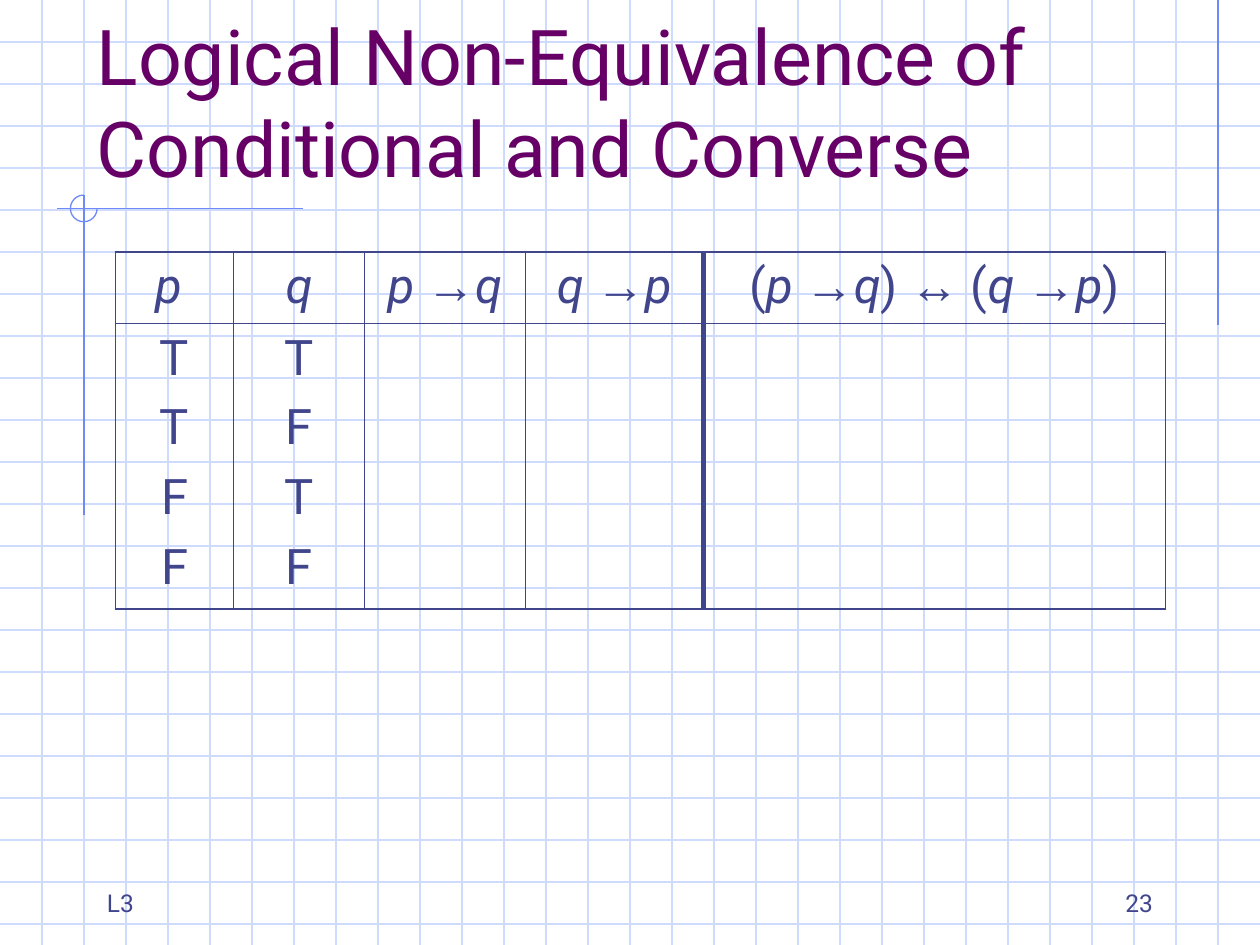
from itertools import groupby
from pptx import Presentation
from pptx.dml.color import RGBColor
from pptx.enum import shapes as kinds, text as txt
from pptx.oxml import parse_xml
from pptx.oxml.ns import nsdecls
from pptx.util import Pt

WIDE, HIGH, STEP = 720, 540, 24
INK, PLUM, GRID, BLUE = "40458C", "660066", "CFDBFD", "6F89F7"
FONT = "Roboto"
THIN, EDGE, BOLD = 0.45, 1.08, 3

TITLE = "Logical Non-Equivalence of Conditional and Converse"
HEAD = ["p ", "q", "p →q", "q →p", "(p →q) ↔ (q →p)"]
BODY = ["TTFF", "TFTF", "", "", ""]
COLS = [67.5, 75, 91.5, 102, 264]
ROWS = [41, 163]
RULES = [(696, 0, 696, 186), (173, 119.25, 32.5, 119.25), (48, 111.5, 48, 294.5)]
NOTES = [("23", 516, txt.PP_ALIGN.RIGHT), ("L3", 54, txt.PP_ALIGN.LEFT)]


def rgb(code):
    return RGBColor.from_string(code)


def style(font, size, code, name=FONT):
    font.size, font.name = Pt(size), name
    font.color.rgb = rgb(code)


def rule(x1, y1, x2, y2, code):
    line = slide.shapes.add_connector(
        kinds.MSO_CONNECTOR.STRAIGHT, Pt(x1), Pt(y1), Pt(x2), Pt(y2))
    line.line.color.rgb = rgb(code)
    line.line.width = Pt(0.75)
    line.element.spPr.append(parse_xml(f"<a:effectLst {nsdecls('a')}/>"))


def glyph(char):
    """Sort a character into variable, arrow or plain text."""
    return "var" if char in "pq" else "arrow" if char in "→↔" else "plain"


def write(para, words):
    para.alignment = txt.PP_ALIGN.CENTER
    for kind, chars in groupby(words, glyph):
        run = para.add_run()
        run.text = "".join(chars)
        style(run.font, 28, INK, "Arial" if kind == "arrow" else FONT)
        run.font.italic = kind == "var"


def border(cell, widths):
    cell.fill.background()
    props = cell._tc.get_or_add_tcPr()
    for spot, (side, width) in enumerate(zip("LRTB", widths)):
        props.insert(spot, parse_xml(
            f'<a:ln{side} {nsdecls("a")} w="{Pt(width)}"><a:solidFill>'
            f'<a:srgbClr val="{INK}"/></a:solidFill></a:ln{side}>'))


prs = Presentation()
prs.slide_width, prs.slide_height = Pt(WIDE), Pt(HIGH)
slide = prs.slides.add_slide(prs.slide_layouts[5])

# Squared paper and corner marks
for y in range(STEP, HIGH, STEP):
    rule(0, y, WIDE, y, GRID)
for x in range(STEP, WIDE, STEP):
    rule(x, 0, x, HIGH, GRID)
for ends in RULES:
    rule(*ends, BLUE)
ring = slide.shapes.add_shape(
    kinds.MSO_SHAPE.ARC, Pt(40.25), Pt(111.5), Pt(15.25), Pt(15.25))
ring.adjustments[0], ring.adjustments[1] = 0, 162
ring.shadow.inherit = False
ring.fill.background()
ring.line.color.rgb = rgb(BLUE)
ring.line.width = Pt(0.75)

# Title, in front of the grid
title = slide.shapes.title
slide.shapes.element.append(title.element)
title.left, title.top, title.width, title.height = Pt(48), Pt(24), Pt(612), Pt(90)
frame = title.text_frame
frame.text = TITLE
frame.auto_size = txt.MSO_AUTO_SIZE.NONE
frame.vertical_anchor = txt.MSO_ANCHOR.BOTTOM
frame.paragraphs[0].alignment = txt.PP_ALIGN.LEFT
style(frame.paragraphs[0].runs[0].font, 44, PLUM)

# Truth table
table = slide.shapes.add_table(
    2, len(COLS), Pt(66), Pt(144), Pt(sum(COLS)), Pt(sum(ROWS))).table
table.first_row = table.horz_banding = False
for row, height in zip(table.rows, ROWS):
    row.height = Pt(height)
sides = [EDGE, THIN, THIN, THIN, BOLD, EDGE]
levels = [EDGE, THIN, EDGE]
for c, width in enumerate(COLS):
    table.columns[c].width = Pt(width)
    for r, lines in enumerate([[HEAD[c]], BODY[c]]):
        cell = table.cell(r, c)
        border(cell, sides[c:c + 2] + levels[r:r + 2])
        for n, words in enumerate(lines):
            para = cell.text_frame.add_paragraph() if n else cell.text_frame.paragraphs[0]
            if n:
                para.space_before = Pt(7)
            write(para, words)

# Footer
for words, left, side in NOTES:
    frame = slide.shapes.add_textbox(Pt(left), Pt(492), Pt(150), Pt(36)).text_frame
    frame.word_wrap = True
    frame.vertical_anchor = txt.MSO_ANCHOR.BOTTOM
    frame.text = words
    frame.paragraphs[0].alignment = side
    style(frame.paragraphs[0].runs[0].font, 14, INK)

prs.save("out.pptx")
